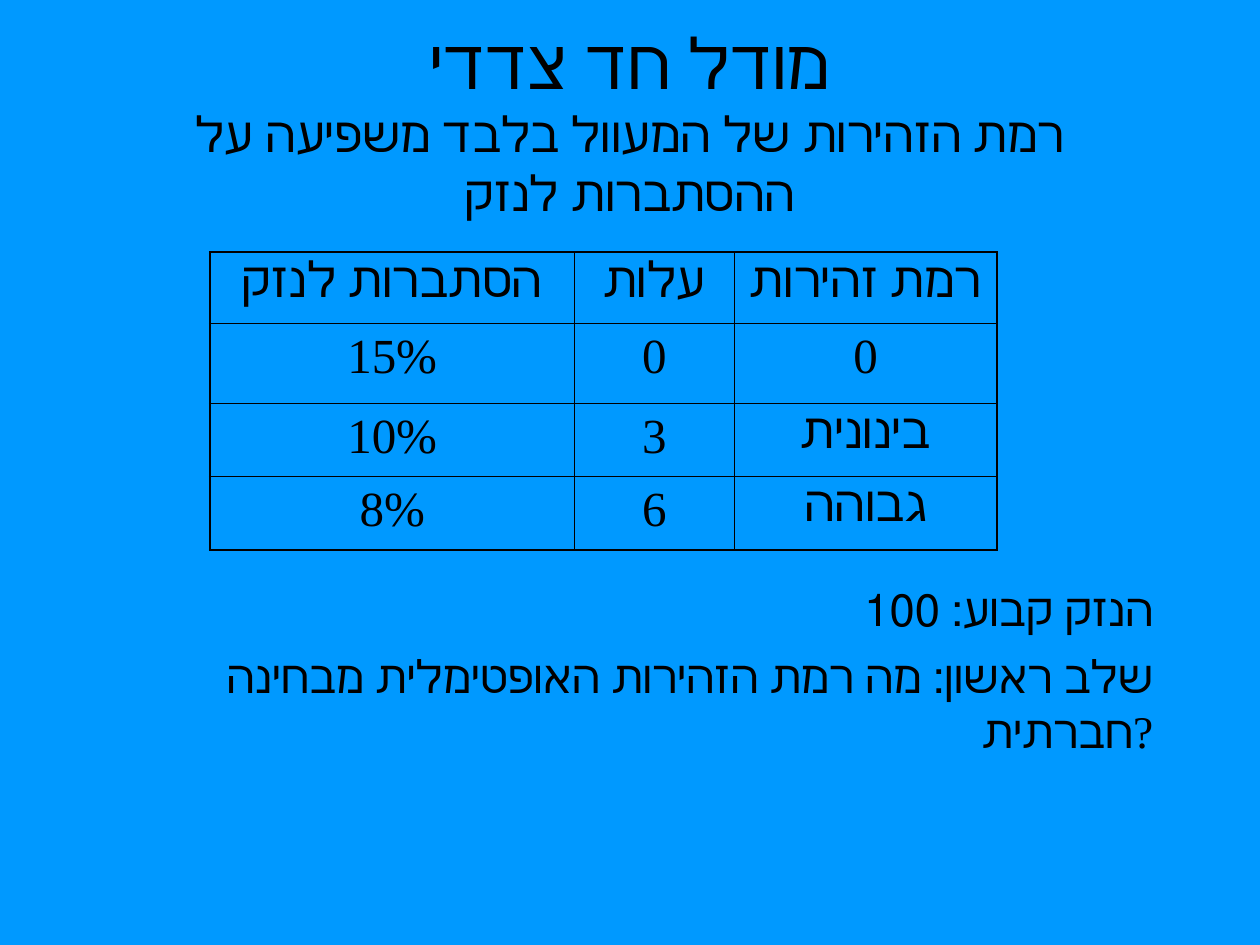
from lxml import etree
from pptx import Presentation
from pptx.dml.color import RGBColor
from pptx.enum.text import MSO_ANCHOR, PP_ALIGN
from pptx.oxml.ns import qn
from pptx.util import Cm, Pt

CENTER, RIGHT = PP_ALIGN.CENTER, PP_ALIGN.RIGHT
MIDDLE = MSO_ANCHOR.MIDDLE
COLORS = {"back": "0099FF", "ink": "000000"}
FACE = "Times New Roman"
THICK, THIN = Pt(1.08), Pt(0.45)


def style(font, size):
    font.name = FACE
    font.size = Pt(size)
    font.color.rgb = RGBColor.from_string(COLORS["ink"])


def border(cell, side, width):
    props = cell._tc.get_or_add_tcPr()
    line = etree.SubElement(props, qn("a:ln" + side), w=str(int(width)))
    fill = etree.SubElement(line, qn("a:solidFill"))
    etree.SubElement(fill, qn("a:srgbClr"), val=COLORS["ink"])


deck = Presentation()
deck.slide_width, deck.slide_height = Cm(25.4), Cm(19.05)
slide = deck.slides.add_slide(deck.slide_layouts[6])
back = slide.background.fill
back.solid()
back.fore_color.rgb = RGBColor.from_string(COLORS["back"])

# Title with its smaller second part
box = slide.shapes.add_textbox(Cm(1.9), Cm(0.84), Cm(21.6), Cm(3.18))
frame = box.text_frame
frame.word_wrap = True
frame.vertical_anchor = MIDDLE
para = frame.paragraphs[0]
para.alignment = CENTER
run = para.add_run()
run.text = "מודל חד צדדי"
style(run.font, 40)
para.add_line_break()
run = para.add_run()
run.text = "רמת הזהירות של המעוול בלבד משפיעה על ההסתברות לנזק"
style(run.font, 28)

# Table of care levels
rows = [
    ("הסתברות לנזק", "עלות", "רמת זהירות"),
    ("15%", "0", "0"),
    ("10%", "3", "בינונית"),
    ("8%", "6", "גבוהה"),
]
widths = [7.35, 3.22, 5.3]
heights = [1.43, 1.61, 1.47, 1.48]
table = slide.shapes.add_table(
    len(rows), len(widths), Cm(4.23), Cm(5.08), Cm(sum(widths)), Cm(sum(heights))
).table
table.first_row = table.horz_banding = False
for col, width in zip(table.columns, widths):
    col.width = Cm(width)
for row, height in zip(table.rows, heights):
    row.height = Cm(height)

for r, row in enumerate(rows):
    for c, text in enumerate(row):
        cell = table.cell(r, c)
        cell.text = text
        para = cell.text_frame.paragraphs[0]
        para.alignment = CENTER
        style(para.font, 28)
        # Thick lines on the outer edge only
        edges = {
            "L": c == 0,
            "R": c == len(widths) - 1,
            "T": r == 0,
            "B": r == len(rows) - 1,
        }
        for side, outer in edges.items():
            border(cell, side, THICK if outer else THIN)
        cell.fill.background()

# Notes below the table
notes = [
    "הנזק קבוע: 100",
    "שלב ראשון: מה רמת הזהירות האופטימלית מבחינה חברתית?",
]
box = slide.shapes.add_textbox(Cm(1.9), Cm(11.6), Cm(21.6), Cm(4.07))
frame = box.text_frame
frame.word_wrap = True
for n, text in enumerate(notes):
    para = frame.add_paragraph() if n else frame.paragraphs[0]
    para.text = text
    para.alignment = RIGHT
    if n:
        para.space_before = Pt(7)
    props = para._p.get_or_add_pPr()
    props.set("marL", str(Cm(0.95)))
    props.set("indent", str(-Cm(0.95)))
    style(para.font, 25.9)

deck.save("out.pptx")
